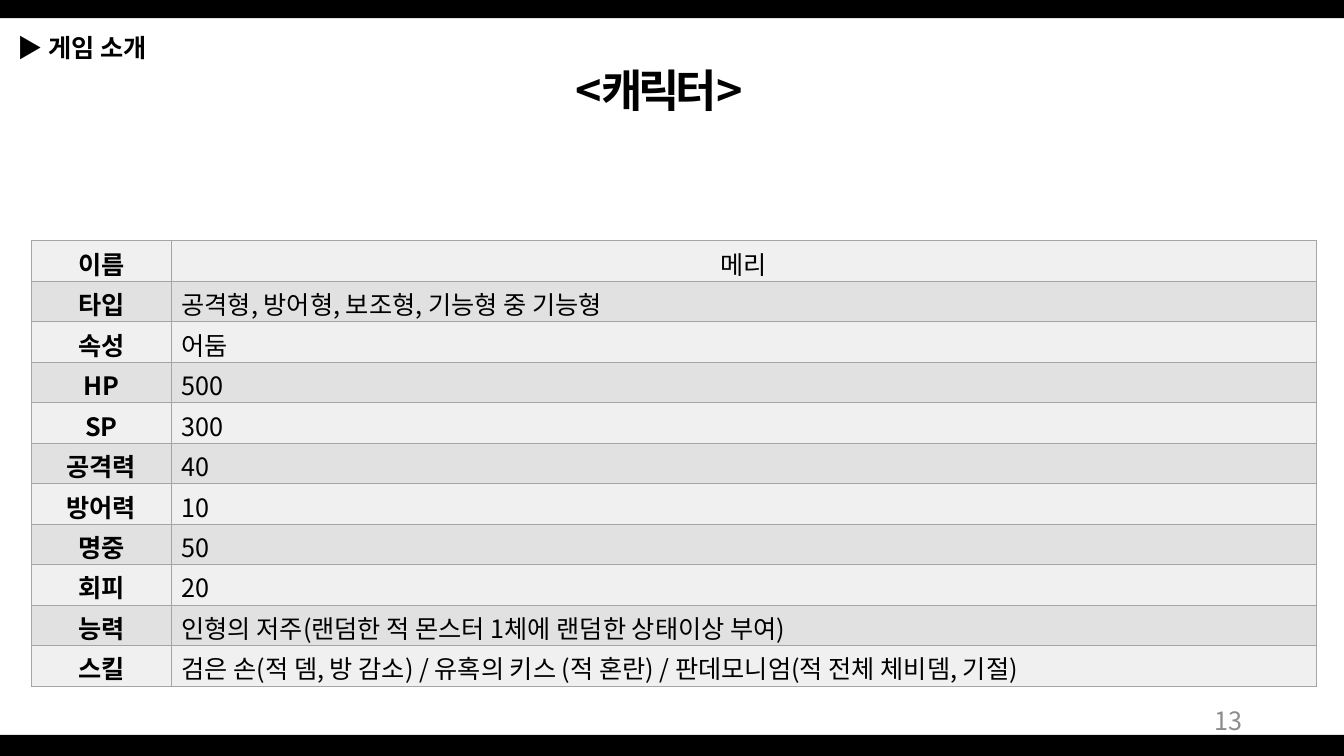
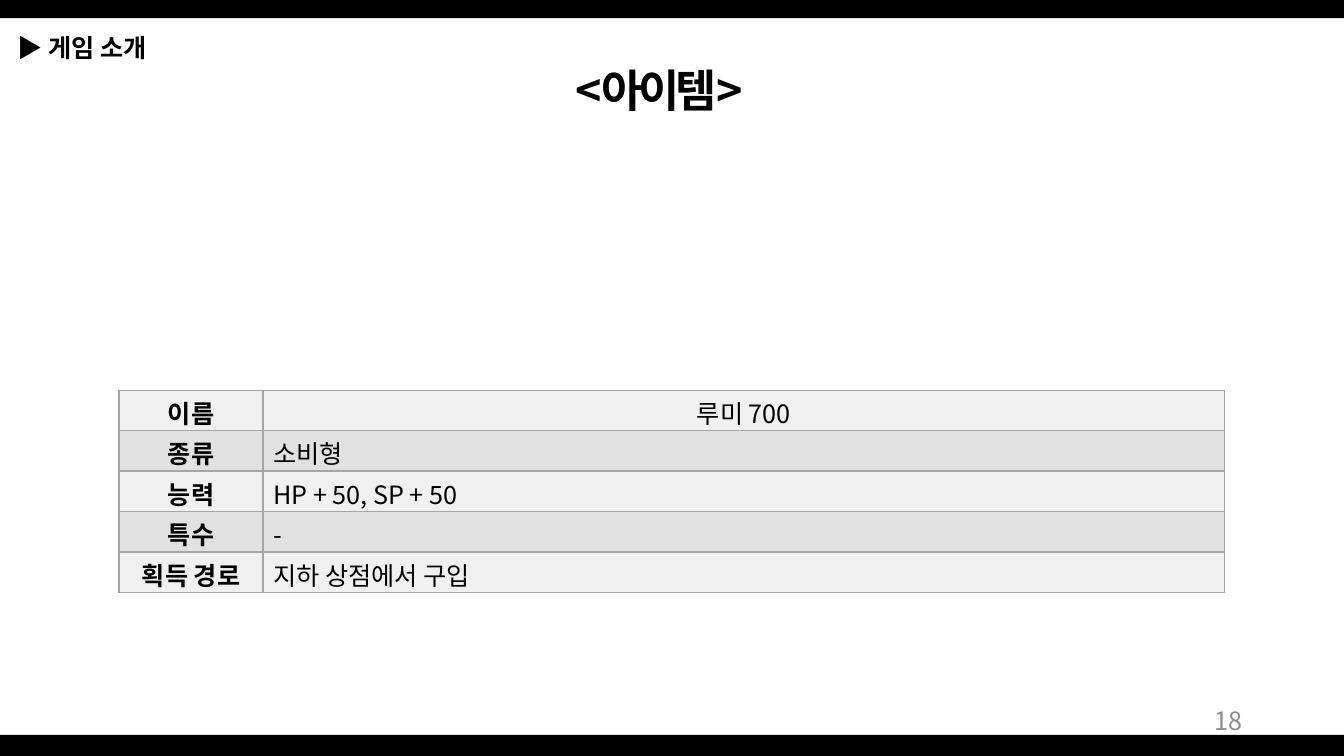
from lxml.etree import SubElement
from pptx import Presentation
from pptx.dml.color import RGBColor
from pptx.enum.shapes import MSO_SHAPE
from pptx.enum.text import MSO_ANCHOR, PP_ALIGN
from pptx.oxml import parse_xml
from pptx.oxml.ns import nsdecls, qn
from pptx.util import Cm, Pt

BLACK = RGBColor(0x00, 0x00, 0x00)
WHITE = RGBColor(0xFF, 0xFF, 0xFF)
PAGE_GRAY = RGBColor(0x8C, 0x8C, 0x8C)
BORDER_GRAY = RGBColor(0xA5, 0xA5, 0xA5)
ROW_FILLS = (RGBColor(0xF0, 0xF0, 0xF0), RGBColor(0xE1, 0xE1, 0xE1))
FONT = "Noto Sans CJK KR"
SLIDE_WIDTH, SLIDE_HEIGHT = 33.87, 19.05
ROW_HEIGHT = 1.02

CHARACTER_ROWS = (
    ("이름", "메리"),
    ("타입", "공격형, 방어형, 보조형, 기능형 중 기능형"),
    ("속성", "어둠"),
    ("HP", "500"),
    ("SP", "300"),
    ("공격력", "40"),
    ("방어력", "10"),
    ("명중", "50"),
    ("회피", "20"),
    ("능력", "인형의 저주(랜덤한 적 몬스터 1체에 랜덤한 상태이상 부여)"),
    ("스킬", "검은 손(적 뎀, 방 감소) / 유혹의 키스 (적 혼란) / 판데모니엄(적 전체 체비뎀, 기절)"),
)
ITEM_ROWS = (
    ("이름", "루미 700"),
    ("종류", "소비형"),
    ("능력", "HP + 50, SP + 50"),
    ("특수", "-"),
    ("획득 경로", "지하 상점에서 구입"),
)


def add_span(para, text, size=18, bold=False, color=BLACK, spacing=0):
    """Add one formatted run, with letter spacing in points."""
    span = para.add_run()
    span.text = text
    span.font.size = Pt(size)
    span.font.bold = bold
    span.font.name = FONT
    span.font.color.rgb = color
    properties = span.font._element
    SubElement(properties, qn("a:ea")).set("typeface", FONT)
    if spacing:
        properties.set("spc", str(spacing * 100))


def add_text_box(page, left, top, width, height, align=PP_ALIGN.LEFT):
    """Add a vertically centred text box and return its first paragraph."""
    box = page.shapes.add_textbox(Cm(left), Cm(top), Cm(width), Cm(height))
    box.text_frame.word_wrap = True
    box.text_frame.vertical_anchor = MSO_ANCHOR.MIDDLE
    para = box.text_frame.paragraphs[0]
    para.alignment = align
    return para


def add_band(page, top, height):
    """Add a black band across the whole slide."""
    band = page.shapes.add_shape(
        MSO_SHAPE.RECTANGLE, 0, Cm(top), Cm(SLIDE_WIDTH), Cm(height))
    band.shadow.inherit = False
    band.fill.solid()
    band.fill.fore_color.rgb = BLACK
    band.line.fill.background()


def add_page(deck, title, number):
    """Add a slide with the shared bands, header, title and page number."""
    page = deck.slides.add_slide(deck.slide_layouts[6])
    page.background.fill.solid()
    page.background.fill.fore_color.rgb = WHITE
    add_band(page, 18.52, SLIDE_HEIGHT - 18.52)
    add_band(page, 0, 0.46)
    header = add_text_box(page, 0.2, 0.69, 10.49, 1.02)
    add_span(header, "▶ ")
    add_span(header, "게임 소개", bold=True)
    heading = add_text_box(page, 12.83, 1.45, 7.57, 1.63, PP_ALIGN.CENTER)
    add_span(heading, f"<{title}>", size=32, bold=True, spacing=-3)
    footer = add_text_box(page, 23.93, 17.65, 7.62, 1.02, PP_ALIGN.RIGHT)
    add_span(footer, str(number), color=PAGE_GRAY)
    return page


def set_borders(cell):
    """Draw a thin gray line on each side of a cell."""
    properties = cell._tc.get_or_add_tcPr()
    for index, side in enumerate(("lnL", "lnR", "lnT", "lnB")):
        properties.insert(index, parse_xml(
            f'<a:{side} {nsdecls("a")} w="{Pt(1)}"><a:solidFill>'
            f'<a:srgbClr val="{BORDER_GRAY}"/></a:solidFill></a:{side}>'))


def fill_cell(cell, text, fill, bold, align):
    """Set the text, fill, margins and borders of a cell."""
    cell.fill.solid()
    cell.fill.fore_color.rgb = fill
    cell.vertical_anchor = MSO_ANCHOR.MIDDLE
    cell.margin_top, cell.margin_bottom = Cm(0.1), Cm(0)
    para = cell.text_frame.paragraphs[0]
    para.alignment = align
    add_span(para, text, bold=bold)
    set_borders(cell)


def add_profile_table(page, left, top, widths, rows):
    """Add a table of labels and values with alternating row fills."""
    table = page.shapes.add_table(
        len(rows), len(widths), Cm(left), Cm(top),
        Cm(sum(widths)), Cm(ROW_HEIGHT * len(rows))).table
    table.first_row = False
    table.horz_banding = False
    for column, width in zip(table.columns, widths):
        column.width = Cm(width)
    for index, (label, value) in enumerate(rows):
        table.rows[index].height = Cm(ROW_HEIGHT)
        fill = ROW_FILLS[index % 2]
        value_align = PP_ALIGN.LEFT if index else PP_ALIGN.CENTER
        fill_cell(table.cell(index, 0), label, fill, True, PP_ALIGN.CENTER)
        fill_cell(table.cell(index, 1), value, fill, False, value_align)


def main():
    """Build and save the deck."""
    deck = Presentation()
    deck.slide_width, deck.slide_height = Cm(SLIDE_WIDTH), Cm(SLIDE_HEIGHT)
    character_page = add_page(deck, "캐릭터", 13)
    add_profile_table(character_page, 0.79, 6.07, (3.53, 28.85), CHARACTER_ROWS)
    item_page = add_page(deck, "아이템", 18)
    add_profile_table(item_page, 3, 9.83, (3.63, 24.23), ITEM_ROWS)
    deck.save("out.pptx")


if __name__ == "__main__":
    main()
